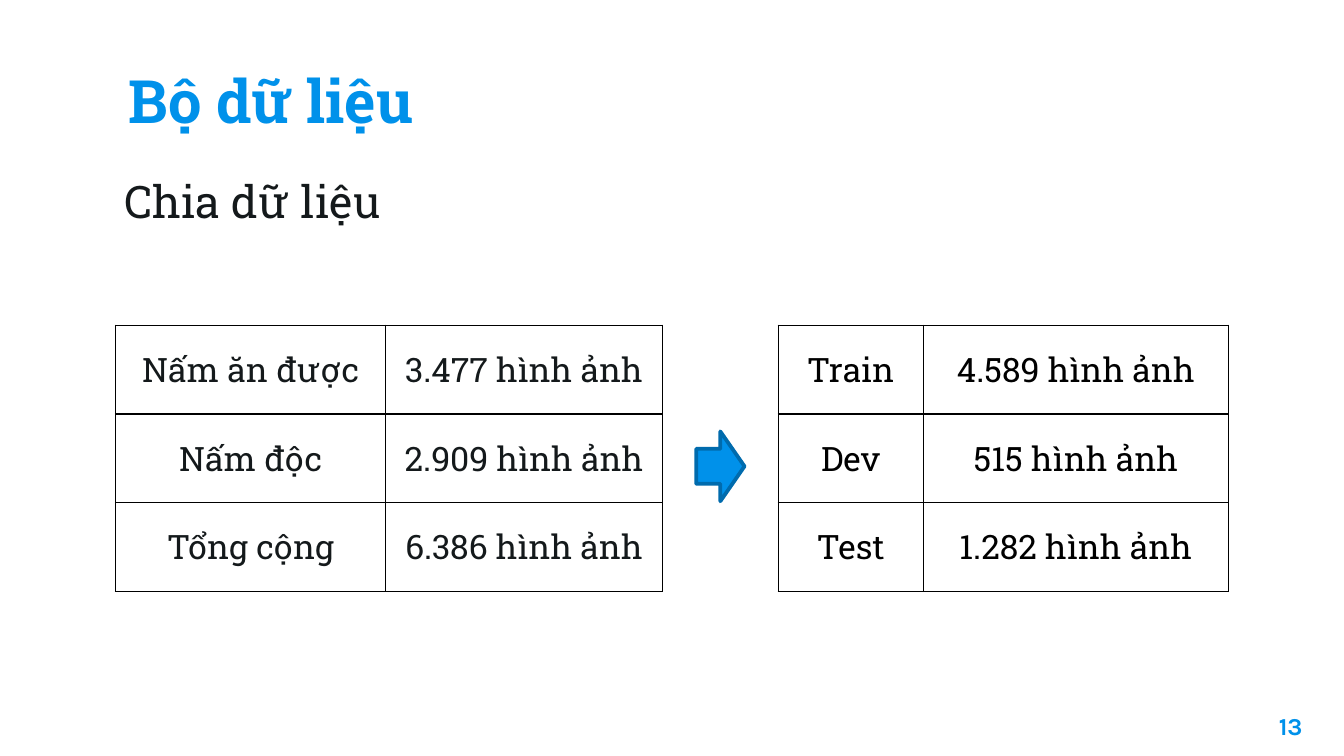
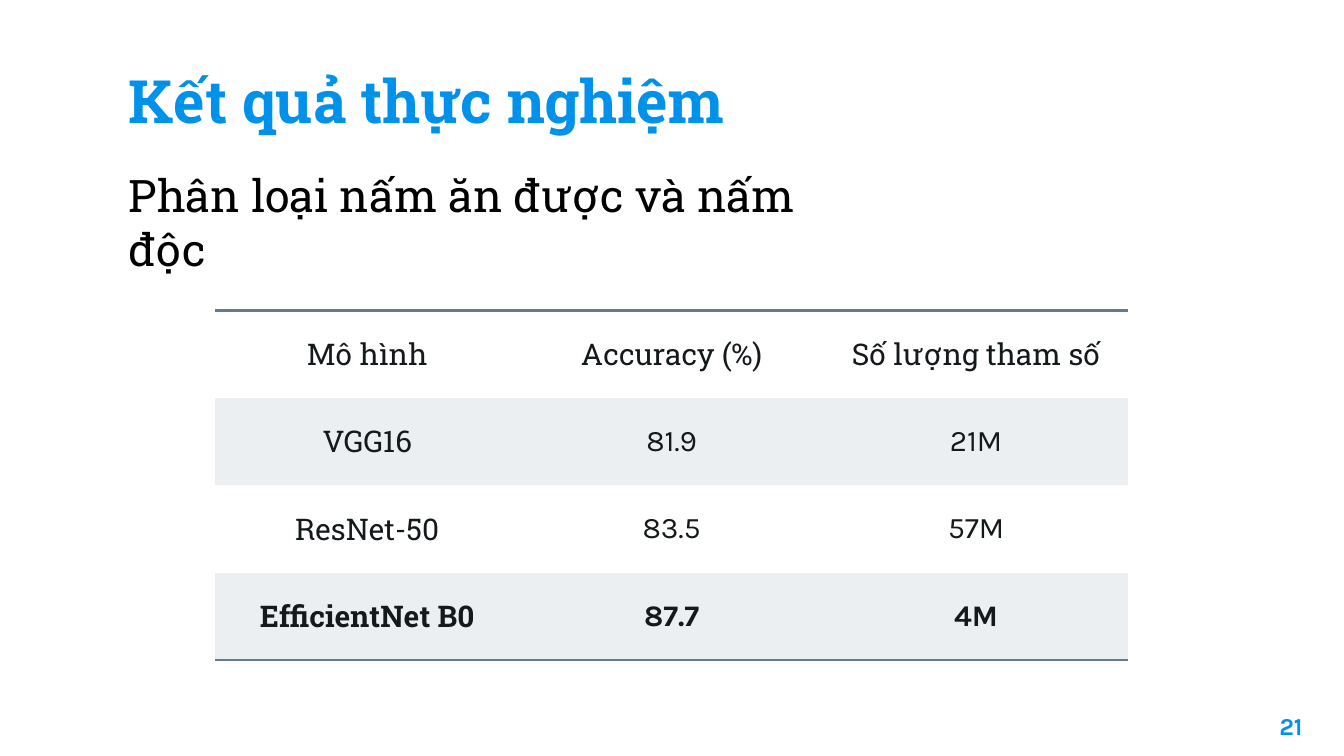
from dataclasses import dataclass
from lxml.etree import SubElement as Sub
from pptx import Presentation
from pptx.dml.color import RGBColor as Rgb
from pptx.enum.shapes import MSO_SHAPE as Form
from pptx.enum.text import MSO_ANCHOR as Anchor, PP_ALIGN as Align
from pptx.oxml.ns import qn
from pptx.util import Emu, Pt

PX = 4572  # 200 px to the inch
PAGE = (2000, 1125)


@dataclass(frozen=True)
class Theme:
    blue: str = "0091EA"
    edge: str = "006BAD"
    ink: str = "14191B"
    black: str = "000000"
    rule: str = "607D8B"
    band: str = "ECEFF1"
    slab: str = "Roboto Slab"
    sans: str = "Karla"
    title: int = 32
    lead: int = 24
    data: int = 18
    score: int = 16
    page: int = 13


T = Theme()

SPLIT = {
    "title": "Bộ dữ liệu",
    "page": "13",
    "lead": "Chia dữ liệu",
    "kinds": [
        ("Nấm ăn được", "3.477 hình ảnh"),
        ("Nấm độc", "2.909 hình ảnh"),
        ("Tổng cộng", "6.386 hình ảnh"),
    ],
    "parts": [
        ("Train", "4.589 hình ảnh"),
        ("Dev", "515 hình ảnh"),
        ("Test", "1.282 hình ảnh"),
    ],
}
RESULT = {
    "title": "Kết quả thực nghiệm",
    "page": "21",
    "lead": "Phân loại nấm ăn được và nấm độc",
    "scores": [
        ("Mô hình", "Accuracy (%)", "Số lượng tham số"),
        ("VGG16", "81.9", "21M"),
        ("ResNet-50", "83.5", "57M"),
        ("EfficientNet B0", "87.7", "4M"),
    ],
}


def scale(*sizes):
    return [Emu(size * PX) for size in sizes]


def write(frame, text, size, color=T.ink, font=T.slab, bold=False,
          align=Align.LEFT, indent=0):
    para = frame.paragraphs[0]
    para.alignment = align
    if indent:
        para._p.get_or_add_pPr().set("marL", str(indent * PX))
    run = para.add_run()
    run.text = text
    face = run.font
    face.name, face.size, face.bold = font, Pt(size), bold
    face.color.rgb = Rgb.from_string(color)


def add_text(slide, box, text, size, pad=10, anchor=Anchor.TOP, **style):
    frame = slide.shapes.add_textbox(*scale(*box)).text_frame
    frame.word_wrap = True
    frame.vertical_anchor = anchor
    frame.margin_top, frame.margin_bottom = scale(pad, pad)
    write(frame, text, size, **style)


def set_edges(cell, edges):
    """Draw the sides named in edges as (colour, points); hide the others."""
    props = cell._tc.get_or_add_tcPr()
    for side in "LRTB":
        line = Sub(props, qn(f"a:ln{side}"))
        if side in edges:
            color, width = edges[side]
            line.set("w", str(Pt(width)))
            fill = Sub(line, qn("a:solidFill"))
            Sub(fill, qn("a:srgbClr")).set("val", color)
        else:
            Sub(line, qn("a:noFill"))


def add_grid(slide, spot, cols, high, rows, look, pad=10):
    """Add a table; look(row, col) gives edges, fill colour and text format."""
    size = (sum(cols), high * len(rows))
    table = slide.shapes.add_table(
        len(rows), len(cols), *scale(*spot, *size)).table
    table.first_row = table.horz_banding = False
    for col, wide in zip(table.columns, scale(*cols)):
        col.width = wide
    for r, row in enumerate(rows):
        table.rows[r].height = Emu(high * PX)
        for c, text in enumerate(row):
            cell = table.cell(r, c)
            edges, fill, style = look(r, c)
            cell.vertical_anchor = Anchor.MIDDLE
            cell.margin_top, cell.margin_bottom = scale(pad, pad)
            set_edges(cell, edges)
            if fill:
                cell.fill.solid()
                cell.fill.fore_color.rgb = Rgb.from_string(fill)
            else:
                cell.fill.background()
            write(cell.text_frame, text, align=Align.CENTER, **style)


def add_page(deck, data):
    slide = deck.slides.add_slide(deck.slide_layouts[6])
    add_text(slide, (172, 68, 1656, 154), data["title"], T.title, pad=20,
             anchor=Anchor.BOTTOM, color=T.blue, bold=True)
    add_text(slide, (1838, 1038, 120, 86), data["page"], T.page, pad=20,
             color=T.blue, font=T.sans, bold=True, align=Align.RIGHT)
    return slide


def add_arrow(slide, box):
    arrow = slide.shapes.add_shape(Form.RIGHT_ARROW, *scale(*box))
    arrow.shadow.inherit = False
    arrow.fill.solid()
    arrow.fill.fore_color.rgb = Rgb.from_string(T.blue)
    arrow.line.color.rgb = Rgb.from_string(T.edge)
    arrow.line.width = Pt(2)


def build_split(deck):
    slide = add_page(deck, SPLIT)
    add_text(slide, (150, 248, 1040, 104), SPLIT["lead"], T.lead, indent=16)
    frame = dict.fromkeys("LRTB", (T.black, 0.75))
    grids = [("kinds", 172, (402, 412), T.ink),
             ("parts", 1158, (216, 454), T.black)]
    for key, left, cols, color in grids:
        style = {"size": T.data, "color": color}
        add_grid(slide, (left, 484), cols, 132, SPLIT[key],
                 lambda r, c: (frame, None, style))
    add_arrow(slide, (1036, 642, 72, 104))


def build_result(deck):
    slide = add_page(deck, RESULT)
    add_text(slide, (172, 240, 1154, 104), RESULT["lead"], T.lead,
             color=T.black)
    rows = RESULT["scores"]
    last = len(rows) - 1
    rule = (T.rule, 1.5)
    ends = {0: {"T": rule}, last: {"B": rule}}

    def look(r, c):
        font = T.sans if r and c else T.slab
        style = {"size": T.score, "font": font, "bold": r == last}
        return ends.get(r, {}), T.band if r % 2 else None, style

    add_grid(slide, (320, 462), [453] * 3, 130, rows, look, pad=14)


def main():
    deck = Presentation()
    deck.slide_width, deck.slide_height = scale(*PAGE)
    build_split(deck)
    build_result(deck)
    deck.save("out.pptx")


if __name__ == "__main__":
    main()
